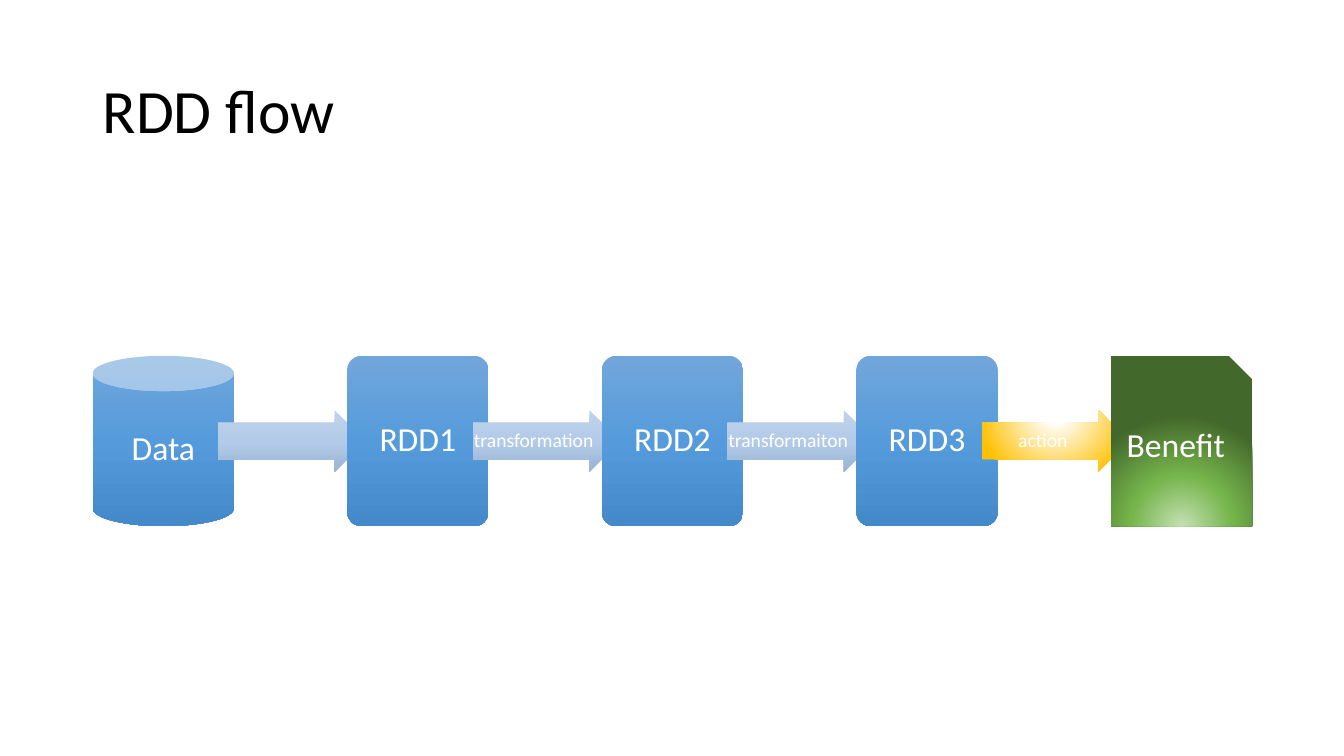
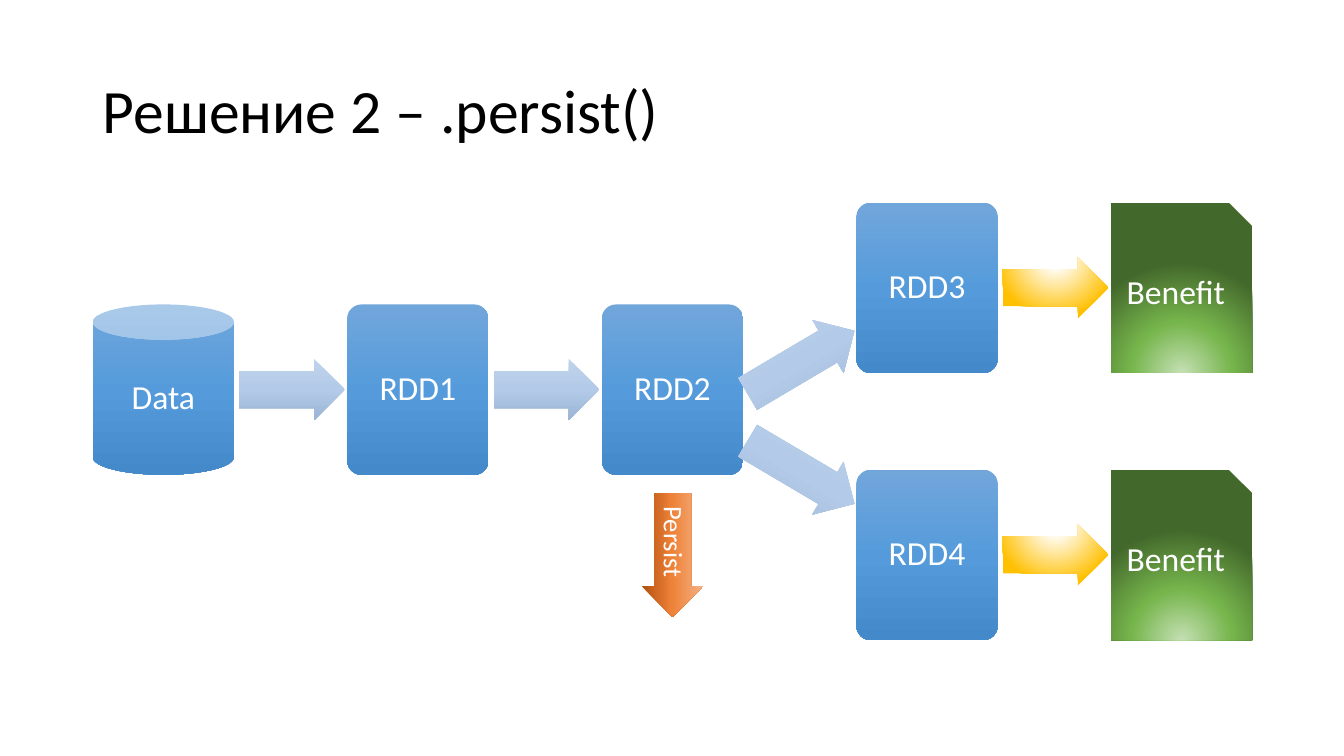
from lxml import etree
from pptx import Presentation
from pptx import util as u
from pptx.dml.color import RGBColor
from pptx.enum import shapes, text
from pptx.oxml import ns

WHITE = RGBColor(0xFF, 0xFF, 0xFF)
BLACK = RGBColor(0x00, 0x00, 0x00)
SKY = RGBColor(0x71, 0xA6, 0xDB), RGBColor(0x55, 0x9B, 0xDB), RGBColor(0x44, 0x8A, 0xCA)
PALE = RGBColor(0xC0, 0xD2, 0xEB), RGBColor(0xB3, 0xCB, 0xE9), RGBColor(0x9B, 0xB4, 0xD3)
GOLD = WHITE, WHITE, RGBColor(0xFF, 0xC0, 0x00)
LEAF = RGBColor(0xC5, 0xE0, 0xB4), RGBColor(0x76, 0xB5, 0x4C), RGBColor(0x43, 0x68, 0x2B)
RUST = RGBColor(0xB0, 0x50, 0x0F), RGBColor(0xEE, 0x81, 0x37), RGBColor(0xF4, 0xB1, 0x83)

WIDE, HIGH = 13.33, 7.5
LEFT, STEP, BOX, TALL = 0.92, 2.525, 1.4, 1.69
LINK, THICK = 0.505, 0.61
MSO = shapes.MSO_SHAPE
DOWN = '<a:lin ang="5400000" scaled="0"/>'
UP = '<a:lin ang="16200000" scaled="0"/>'
GLOW = '<a:path path="circle"><a:fillToRect l="50000" t="{}" r="50000" b="{}"/></a:path>'

STYLES = {
    "data": dict(kind=MSO.CAN, tones=SKY, mid=50, way=DOWN),
    "rdd": dict(kind=MSO.ROUNDED_RECTANGLE, tones=SKY, mid=50, way=DOWN, adj=[0.1]),
    "end": dict(kind=MSO.SNIP_1_RECTANGLE, tones=LEAF, mid=46, way=GLOW.format(130000, -30000)),
    "step": dict(kind=MSO.RIGHT_ARROW, tones=PALE, mid=50, way=DOWN, adj=[0.6, 0.5]),
    "act": dict(kind=MSO.RIGHT_ARROW, tones=GOLD, mid=15, way=GLOW.format(-80000, 180000), adj=[0.6, 0.5]),
    "keep": dict(kind=MSO.RIGHT_ARROW, tones=RUST, mid=48, way=UP, adj=[0.6, 0.5]),
}


def write(frame, words, size, color, align, edges):
    form = dict(word_wrap=True, vertical_anchor=text.MSO_ANCHOR.MIDDLE)
    for side, gap in zip(("left", "top", "right", "bottom"), edges):
        form["margin_" + side] = u.Inches(gap)
    para = frame.paragraphs[0]
    run = para.add_run()
    run.text = words
    run.font.color.rgb = color
    for part, vals in (
        (frame, form),
        (para, dict(alignment=align, line_spacing=0.9)),
        (run.font, dict(name="Calibri", size=u.Pt(size))),
    ):
        for key, val in vals.items():
            setattr(part, key, val)


def draw(slide, name, col, mid, words="", wide=BOX, turn=0, size=24):
    look = STYLES[name]
    arrow = look["kind"] == MSO.RIGHT_ARROW
    high = THICK if arrow else TALL
    x = LEFT + BOX / 2 + STEP * col - wide / 2
    shape = slide.shapes.add_shape(
        look["kind"], *map(u.Inches, (x, mid - high / 2, wide, high)))
    for i, val in enumerate(look.get("adj", [])):
        shape.adjustments[i] = val
    shape.rotation = turn
    shape.shadow.inherit = False
    shape.line.fill.background()
    shape.fill.background()
    stops = "".join(
        f'<a:gs pos="{pos * 1000}"><a:srgbClr val="{tone}"/></a:gs>'
        for pos, tone in zip((0, look["mid"], 100), look["tones"]))
    grad = etree.fromstring(
        f'<a:gradFill {ns.nsdecls("a")} rotWithShape="1">'
        f'<a:gsLst>{stops}</a:gsLst>{look["way"]}</a:gradFill>')
    props = shape._element.spPr
    props.replace(props.find(ns.qn("a:noFill")), grad)
    if words:
        edges = (0, 0, 0.07, 0) if arrow else (0.1,) * 4
        write(shape.text_frame, words, size, WHITE, text.PP_ALIGN.CENTER, edges)


deck = Presentation()
deck.slide_width, deck.slide_height = u.Inches(WIDE), u.Inches(HIGH)
pages = []
for head in ("RDD flow", "Решение 2 – .persist()"):
    page = deck.slides.add_slide(deck.slide_layouts[6])
    title = page.shapes.add_textbox(*map(u.Inches, (LEFT, 0.4, 11.5, 1.45)))
    write(title.text_frame, head, 44, BLACK, text.PP_ALIGN.LEFT, (0.1, 0.05, 0.1, 0.05))
    pages.append(page)
flow, fork = pages

ROW = 4.375
chain = (
    ("data", "Data", "step", ""),
    ("rdd", "RDD1", "step", "transformation"),
    ("rdd", "RDD2", "step", "transformaiton"),
    ("rdd", "RDD3", "act", "action"),
)
for col, (box, name, link, note) in enumerate(chain):
    draw(flow, box, col, ROW, name)
    draw(flow, link, col + LINK, ROW, note, wide=1.46, size=14)
draw(flow, "end", len(chain), ROW, "Benefit")

MAIN, TOP, LOW = 3.865, 2.855, 5.505
for col, (box, name) in enumerate((("data", "Data"), ("rdd", "RDD1"), ("rdd", "RDD2"))):
    draw(fork, box, col, MAIN, name)
    if col < 2:
        draw(fork, "step", col + LINK, MAIN, wide=1.05)
for name, row, mid, turn in (("RDD3", TOP, 3.595, 329.4), ("RDD4", LOW, 4.685, 30.6)):
    draw(fork, "step", 2 + LINK, mid, wide=1.23, turn=turn)
    draw(fork, "rdd", 3, row, name)
    draw(fork, "act", 3 + LINK, row, wide=1.05)
    draw(fork, "end", 4, row, "Benefit")
draw(fork, "keep", 2, LOW, "Persist", wide=1.23, turn=90, size=19)

deck.save("out.pptx")
